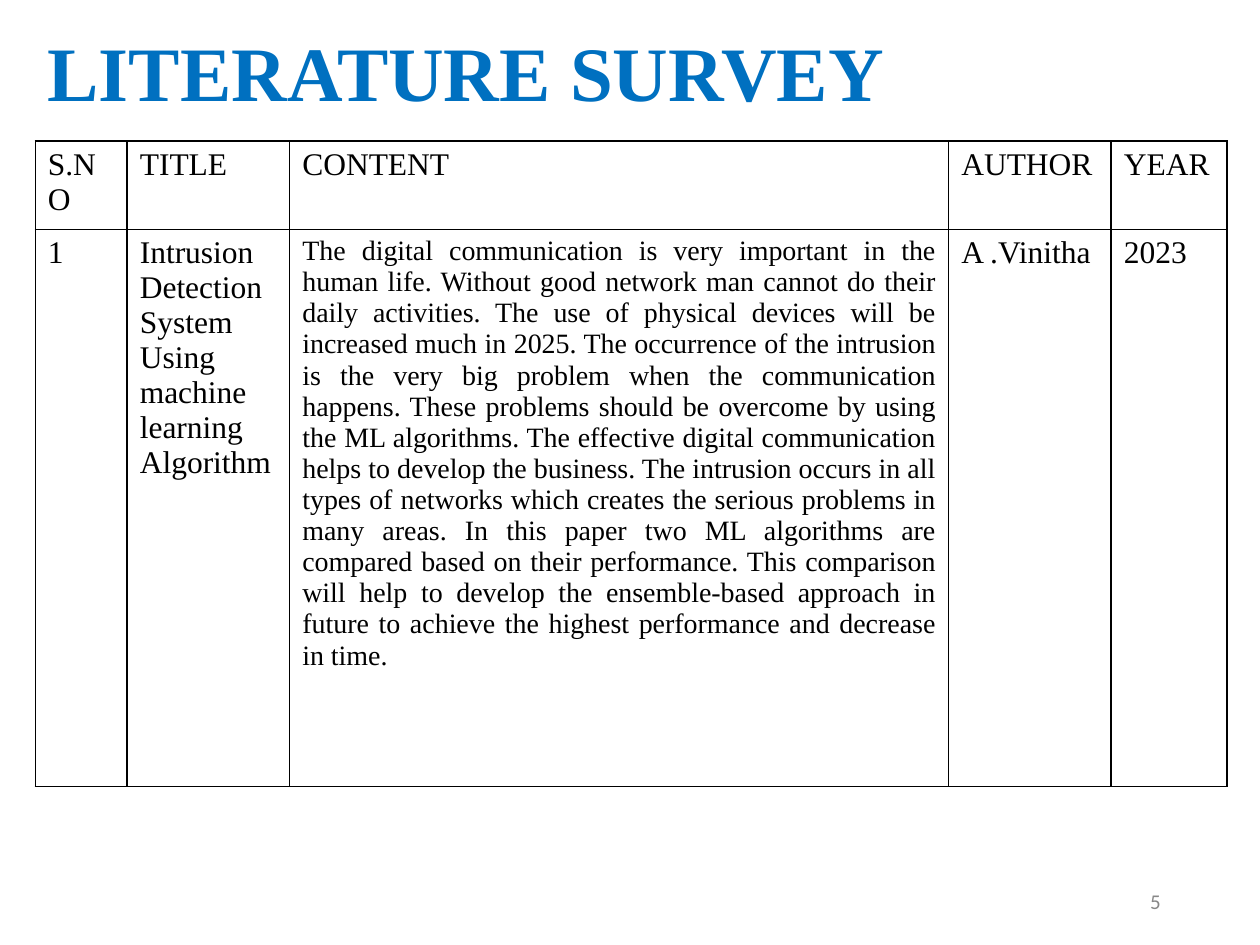
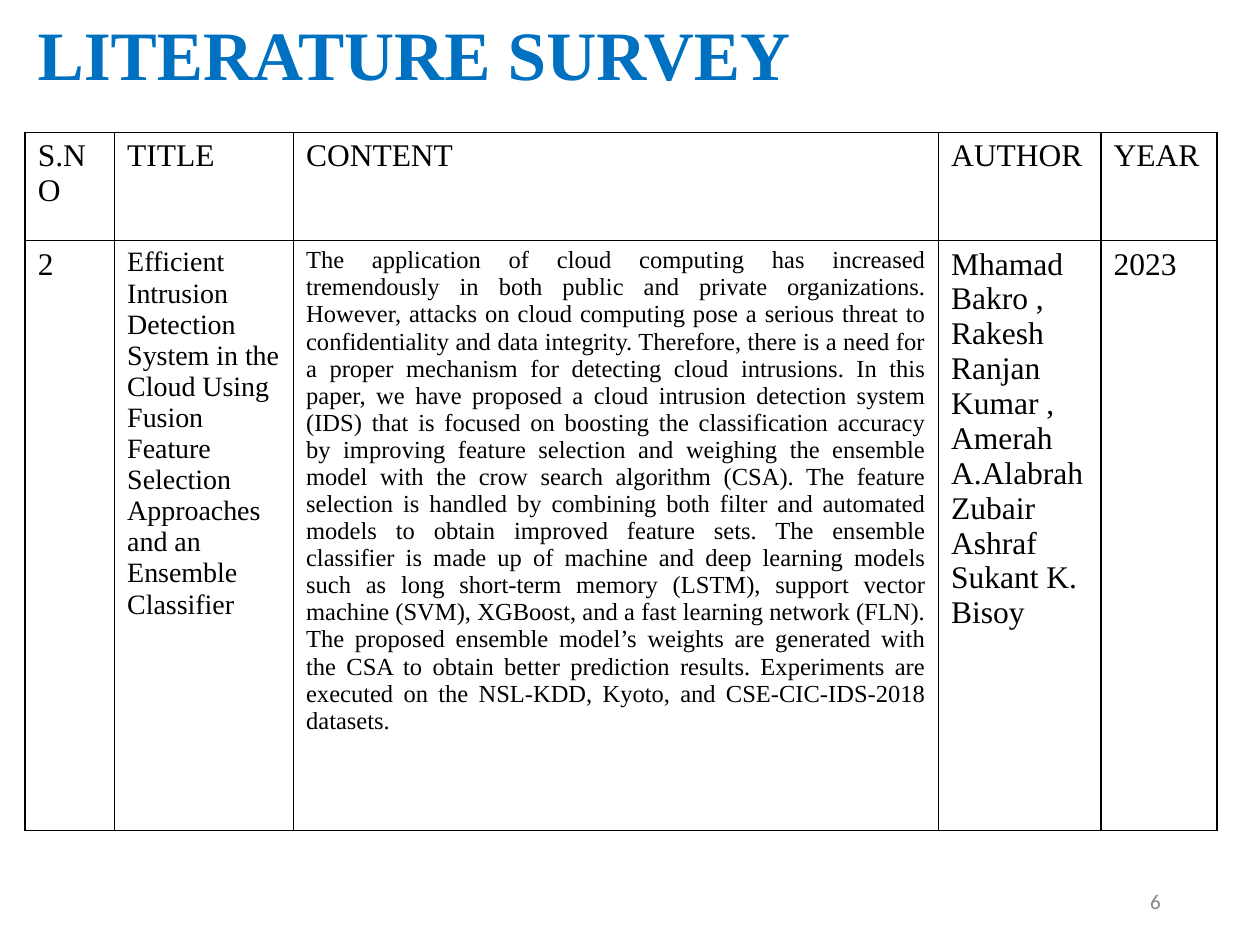
"""Build two literature survey slides, each with a title, a bordered table and a slide number."""
from lxml import etree
from pptx import Presentation
from pptx import util as u
from pptx.dml.color import RGBColor
from pptx.enum import text
from pptx.oxml.ns import qn

BLUE = RGBColor(0x00, 0x70, 0xC0)
BLACK = RGBColor(0x00, 0x00, 0x00)
GREY = RGBColor(0x88, 0x88, 0x88)
SERIF, SANS = "Times New Roman", "Calibri"

TITLE = "LITERATURE SURVEY"
HEADERS = ["S.NO", "TITLE", "CONTENT", "AUTHOR", "YEAR"]
CONTENT_COL = HEADERS.index("CONTENT")

ML_SENTENCES = [
    "The digital communication is very important in the human life.",
    "Without good network man cannot do their daily activities.",
    "The use of physical devices will be increased much in 2025.",
    "The occurrence of the intrusion is the very big problem when the communication happens.",
    "These problems should be overcome by using the ML algorithms.",
    "The effective digital communication helps to develop the business.",
    "The intrusion occurs in all types of networks which creates the serious problems in "
    "many areas.",
    "In this paper two ML algorithms are compared based on their performance.",
    "This comparison will help to develop the ensemble-based approach in future to achieve "
    "the highest performance and decrease in time.",
]

CLOUD_SENTENCES = [
    "The application of cloud computing has increased tremendously in both public and "
    "private organizations.",
    "However, attacks on cloud computing pose a serious threat to confidentiality and data "
    "integrity.",
    "Therefore, there is a need for a proper mechanism for detecting cloud intrusions.",
    "In this paper, we have proposed a cloud intrusion detection system (IDS) that is focused "
    "on boosting the classification accuracy by improving feature selection and weighing the "
    "ensemble model with the crow search algorithm (CSA).",
    "The feature selection is handled by combining both filter and automated models to obtain "
    "improved feature sets.",
    "The ensemble classifier is made up of machine and deep learning models such as long "
    "short-term memory (LSTM), support vector machine (SVM), XGBoost, and a fast learning "
    "network (FLN). The proposed ensemble model’s weights are generated with the CSA to obtain "
    "better prediction results.",
    "Experiments are executed on the NSL-KDD, Kyoto, and CSE-CIC-IDS-2018 datasets.",
]

SURVEYS = [
    {
        "number": "5",
        "title_top": 0.21, "title_size": 44,
        "left": 0.28, "top": 1.12,
        "cols": [0.73, 1.29, 5.23, 1.29, 0.92], "rows": [0.65, 4.42],
        "sizes": [18, 18, 16, 18, 18],
        "entry": [
            ["1"],
            ["Intrusion Detection System Using machine learning Algorithm"],
            [" ".join(ML_SENTENCES)],
            ["A .Vinitha"],
            ["2023"],
        ],
    },
    {
        "number": "6",
        "title_top": 0.06, "title_size": 39.6,
        "left": 0.2, "top": 1.05,
        "cols": [0.71, 1.42, 5.12, 1.29, 0.92], "rows": [0.86, 4.68],
        "sizes": [18, 16, 14, 18, 18],
        "entry": [
            ["2"],
            ["Efficient Intrusion Detection System in the Cloud Using Fusion",
             "Feature Selection Approaches and an Ensemble Classifier"],
            [" ".join(CLOUD_SENTENCES)],
            ["Mhamad Bakro , Rakesh Ranjan Kumar , Amerah A.Alabrah Zubair Ashraf "
             "Sukant K. Bisoy"],
            ["2023"],
        ],
    },
]


def write(tf, lines, size, color=BLACK, font=SERIF, bold=False, **paragraph_format):
    font_format = {"name": font, "size": u.Pt(size), "bold": bold}
    for i, line in enumerate(lines):
        p = tf.paragraphs[0] if i == 0 else tf.add_paragraph()
        r = p.add_run()
        r.text = line
        for target, values in ((p, paragraph_format), (r.font, font_format)):
            for key, value in values.items():
                setattr(target, key, value)
        r.font.color.rgb = color


def add_text(s, box, line, size, **style):
    tf = s.shapes.add_textbox(*map(u.Inches, box)).text_frame
    tf.word_wrap = True
    tf.vertical_anchor = text.MSO_ANCHOR.MIDDLE
    write(tf, [line], size, **style)


def add_borders(cell):
    tc_pr = cell._tc.get_or_add_tcPr()
    for side in ("lnL", "lnR", "lnT", "lnB"):
        ln = etree.SubElement(tc_pr, qn(f"a:{side}"), w=str(u.Pt(1)))
        fill = etree.SubElement(ln, qn("a:solidFill"))
        etree.SubElement(fill, qn("a:srgbClr"), val=str(BLACK))


def add_survey_table(s, survey):
    cols, rows = survey["cols"], survey["rows"]
    box = (survey["left"], survey["top"], sum(cols), sum(rows))
    table = s.shapes.add_table(len(rows), len(cols), *map(u.Inches, box)).table
    table.first_row = table.horz_banding = False
    for col, width in zip(table.columns, cols):
        col.width = u.Inches(width)
    for row, height in zip(table.rows, rows):
        row.height = u.Inches(height)
    grid = [[[header] for header in HEADERS], survey["entry"]]
    for i, line_lists in enumerate(grid):
        for j, lines in enumerate(line_lists):
            cell = table.cell(i, j)
            add_borders(cell)
            cell.fill.background()
            justified = i > 0 and j == CONTENT_COL
            write(cell.text_frame, lines, survey["sizes"][j] if i else 18,
                  alignment=text.PP_ALIGN.JUSTIFY if justified else text.PP_ALIGN.LEFT)


def main():
    prs = Presentation()
    prs.slide_width, prs.slide_height = u.Inches(10), u.Inches(7.5)
    for survey in SURVEYS:
        s = prs.slides.add_slide(prs.slide_layouts[6])
        add_text(s, (survey["left"], survey["title_top"], 8.62, 0.8), TITLE,
                 survey["title_size"], color=BLUE, bold=True, line_spacing=0.9)
        add_text(s, (7.06, 6.95, 2.25, 0.4), survey["number"], 12, color=GREY,
                 font=SANS, alignment=text.PP_ALIGN.RIGHT)
        add_survey_table(s, survey)
    prs.save("out.pptx")


if __name__ == "__main__":
    main()
